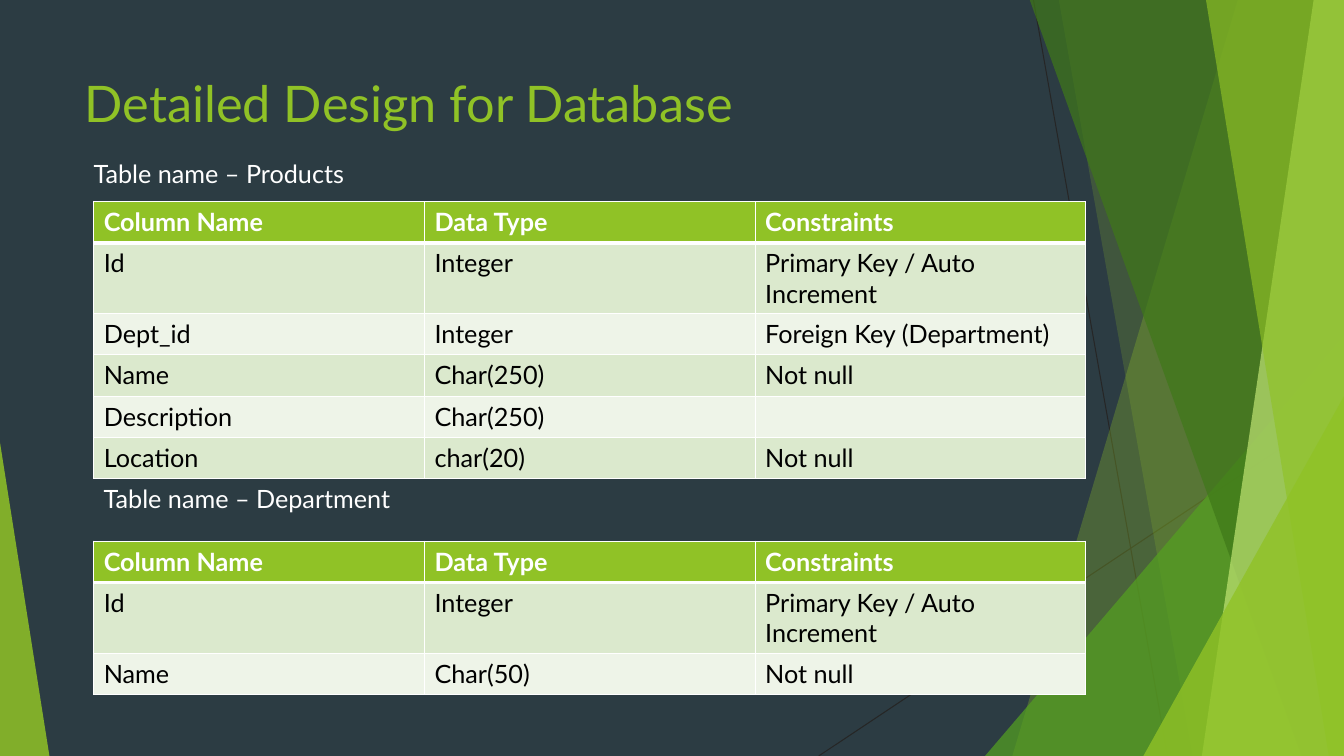
from dataclasses import dataclass

from lxml import etree
from pptx import Presentation
from pptx import util as u
from pptx.dml.color import RGBColor
from pptx.enum import shapes, text
from pptx.oxml.ns import qn


@dataclass(frozen=True)
class Theme:
    font: str = "Lato"
    title_size: int = 36
    body_size: int = 18
    back: str = "2C3C43"
    accent: str = "90C226"
    green: str = "54A021"
    forest: str = "3F7819"
    lime: str = "C0E474"
    thin_line: str = "262626"
    light: str = "FFFFFF"
    dark: str = "000000"
    bands: tuple = ("DBE9CD", "EEF4E8")


class SlideBuilder:
    def __init__(self, prs, theme):
        self.theme = theme
        self.w, self.h = prs.slide_width, prs.slide_height
        self.s = prs.slides.add_slide(prs.slide_layouts[5])
        fill = self.s.background.fill
        fill.solid()
        fill.fore_color.rgb = RGBColor.from_string(theme.back)

    def run(self, p, words, color, size=None, bold=False):
        r = p.add_run()
        r.text = words
        f = r.font
        f.name, f.size, f.bold = self.theme.font, u.Pt(size or self.theme.body_size), bold
        f.color.rgb = RGBColor.from_string(color)

    def paint(self, sp, color, opacity):
        sp.shadow.inherit = False
        sp.line.fill.background()
        sp.fill.solid()
        sp.fill.fore_color.rgb = RGBColor.from_string(color)
        clr = sp.fill._xPr.find(qn("a:solidFill"))[0]
        etree.SubElement(clr, qn("a:alpha")).set("val", str(opacity * 1000))

    def line(self, x1, y1, x2, y2):
        c = self.s.shapes.add_connector(
            shapes.MSO_CONNECTOR.STRAIGHT, *map(u.Inches, (x1, y1, x2, y2)))
        c.line.color.rgb = RGBColor.from_string(self.theme.thin_line)
        c.line.width = u.Pt(0.75)
        etree.SubElement(c._element.spPr, qn("a:effectLst"))

    def shard(self, top_x, bottom_x, color, opacity):
        top = u.Inches(-0.01)
        fb = self.s.shapes.build_freeform(u.Inches(top_x), top)
        fb.add_line_segments(
            [(self.w, top), (self.w, self.h), (u.Inches(bottom_x), self.h)], close=True)
        self.paint(fb.convert_to_shape(), color, opacity)

    def triangle(self, x, y, w, apex, color, opacity):
        top = u.Inches(y)
        sp = self.s.shapes.add_shape(
            shapes.MSO_SHAPE.ISOSCELES_TRIANGLE, u.Inches(x), top, u.Inches(w), self.h - top)
        sp.adjustments[0] = apex
        self.paint(sp, color, opacity)

    def title(self, words, x, y, w, h):
        sp = self.s.shapes.title
        sp.left, sp.top, sp.width, sp.height = map(u.Inches, (x, y, w, h))
        tf = sp.text_frame
        tf.word_wrap = True
        tf.vertical_anchor = text.MSO_ANCHOR.TOP
        p = tf.paragraphs[0]
        p.alignment = text.PP_ALIGN.LEFT
        self.run(p, words, self.theme.accent, self.theme.title_size)

    def label(self, words, x, y):
        sp = self.s.shapes.add_textbox(*map(u.Inches, (x, y, 6.67, 0.4)))
        tf = sp.text_frame
        tf.word_wrap = True
        tf.auto_size = text.MSO_AUTO_SIZE.SHAPE_TO_FIT_TEXT
        self.run(tf.paragraphs[0], words, self.theme.light)

    def borders(self, cell, top, bottom):
        tcPr = cell._tc.get_or_add_tcPr()
        for side, width in (("L", 1), ("R", 1), ("T", top), ("B", bottom)):
            ln = etree.SubElement(tcPr, qn(f"a:ln{side}"), w=str(u.Pt(width)))
            fill = etree.SubElement(ln, qn("a:solidFill"))
            etree.SubElement(fill, qn("a:srgbClr"), val=self.theme.light)

    def table(self, rows, x, y, col_w=3.28, row_h=0.41):
        t = self.theme
        n = len(rows[0])
        tbl = self.s.shapes.add_table(
            len(rows), n, *map(u.Inches, (x, y, n * col_w, len(rows) * row_h))).table
        for col in tbl.columns:
            col.width = u.Inches(col_w)
        for i, row in enumerate(rows):
            head = i == 0
            tbl.rows[i].height = u.Inches(row_h)
            for j, words in enumerate(row):
                cell = tbl.cell(i, j)
                self.borders(cell, 3 if i == 1 else 1, 3 if head else 1)
                cell.fill.solid()
                color = t.accent if head else t.bands[(i - 1) % 2]
                cell.fill.fore_color.rgb = RGBColor.from_string(color)
                if words:
                    self.run(cell.text_frame.paragraphs[0], words,
                             t.light if head else t.dark, bold=head)


HEADER = ("Column Name", "Data Type", "Constraints")
ID_ROW = ("Id", "Integer", "Primary Key / Auto Increment")
PRODUCTS = (
    HEADER,
    ID_ROW,
    ("Dept_id", "Integer", "Foreign Key (Department)"),
    ("Name", "Char(250)", "Not null"),
    ("Description", "Char(250)", ""),
    ("Location", "char(20)", "Not null"),
)
DEPARTMENT = (HEADER, ID_ROW, ("Name", "Char(50)", "Not null"))


def main():
    prs = Presentation()
    prs.slide_width, prs.slide_height = u.Inches(13.33), u.Inches(7.5)
    t = Theme()
    b = SlideBuilder(prs, t)

    b.line(10.25, 0, 11.58, 7.5)
    b.line(13.33, 4.03, 8.12, 7.5)
    b.shard(12.28, 10.04, t.accent, 30)
    b.shard(10.5, 11.83, t.accent, 20)
    b.triangle(9.77, 3.33, 3.56, 1, t.green, 72)
    b.shard(10.21, 12.91, t.forest, 70)
    b.shard(13.03, 11.92, t.lime, 70)
    b.shard(11.96, 13.18, t.accent, 65)
    b.triangle(11.34, 3.93, 1.99, 1, t.accent, 80)
    b.triangle(0, 4.39, 0.49, 0, t.accent, 85)

    b.title("Detailed Design for Database", 0.74, 0.67, 9.4, 1.44)
    b.table(PRODUCTS, 0.93, 2)
    b.label("Table name – Products", 0.83, 1.52)
    b.label("Table name – Department", 0.93, 4.75)
    b.table(DEPARTMENT, 0.93, 5.37)
    prs.save("out.pptx")


if __name__ == "__main__":
    main()
